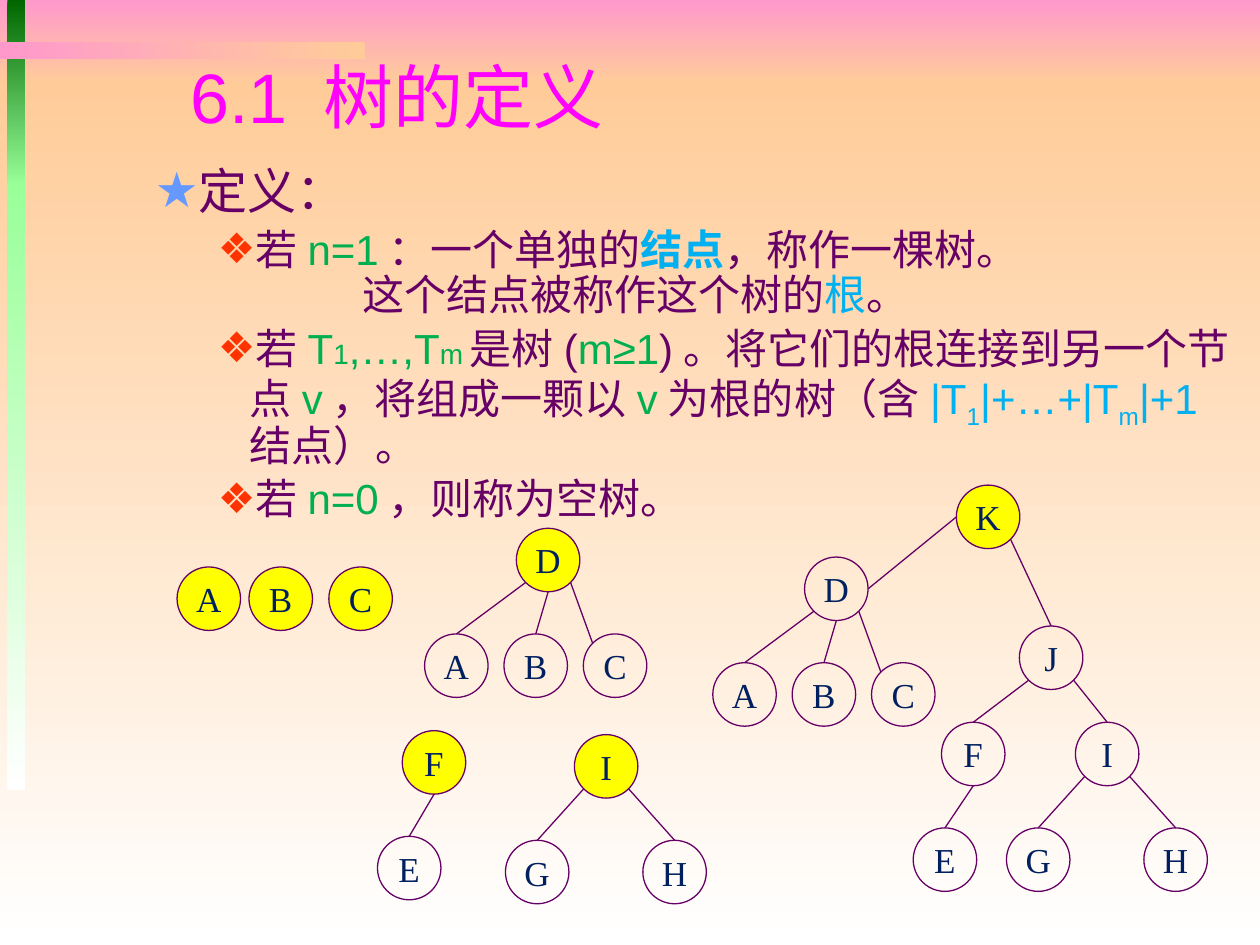
from dataclasses import dataclass, replace
from math import cos, pi, sin

from lxml.etree import SubElement
from pptx import Presentation
from pptx.dml.color import RGBColor
from pptx.enum.shapes import MSO_CONNECTOR, MSO_SHAPE
from pptx.enum.text import MSO_ANCHOR, MSO_AUTO_SIZE, PP_ALIGN
from pptx.oxml.ns import qn
from pptx.util import Cm, Pt


@dataclass(frozen=True)
class Theme:
    text: str = "660066"
    term: str = "00B050"
    key: str = "00B0F0"
    title: str = "FF00FF"
    star: str = "6699FF"
    diamond: str = "FF3300"
    pink: str = "FF99CC"
    peach: str = "FFCC99"
    white: str = "FFFFFF"
    forest: str = "006600"
    mint: str = "99FF99"
    root: str = "FFFF00"
    label: str = "002060"
    sans: str = "Arial"
    serif: str = "Times New Roman"
    title_size: int = 40
    head_size: int = 28
    body_size: int = 24
    small_size: int = 16
    label_size: int = 20
    line: float = 0.75
    spacing: float = 0.9


@dataclass(frozen=True)
class Band:
    x: float
    y: float
    w: float
    h: float
    start: str
    end: str
    angle: int = 270


@dataclass(frozen=True)
class Span:
    text: str
    color: str
    size: int
    bold: bool = False
    sub: bool = False


@dataclass(frozen=True)
class Para:
    spans: tuple[Span, ...]
    level: int = 1
    left: float = 3.18
    hang: float = 0.64
    bullet: str = "❖"


@dataclass(frozen=True)
class Node:
    label: str
    dx: float = 0
    dy: float = 2.13
    exit: int = 90
    entry: int = 270
    children: tuple["Node", ...] = ()


T = Theme()
DIAMETER = 1.28
BULLET_COLORS = (T.star, T.diamond)

BANDS = (
    Band(0, 0, 25.4, 1.7, T.pink, T.peach),
    Band(0, 1.7, 25.4, 17.35, T.peach, T.white),
    Band(0.15, 0, 0.36, 3.75, T.forest, T.mint),
    Band(0.15, 3.71, 0.36, 12.22, T.mint, T.white),
    Band(0, 0.85, 7.35, 0.35, T.pink, T.peach, 0),
)


def plain(text: str) -> Span:
    return Span(text, T.text, T.body_size)


def term(text: str, size: int = T.body_size) -> Span:
    return Span(text, T.term, size)


def key(text: str, bold: bool = False, sub: bool = False) -> Span:
    return Span(text, T.key, T.body_size, bold, sub)


PARAS = (
    Para((Span("定义：", T.text, T.head_size),), 0, 2.06, 0.79, "★"),
    Para((plain("若"), term("n=1"), plain("：一个单独的"), key("结点", bold=True),
          plain("，称作一棵树。"))),
    Para((plain("这个结点被称作这个树的"), key("根"), plain("。")),
         left=5.46, hang=0, bullet=""),
    Para((plain("若"), term("T"), term("1", T.small_size), term(",…,T"),
          term("m", T.small_size), plain("是树("), term("m≥1"),
          plain(")。将它们的根连接到另一个节点"), term("v"),
          plain("，将组成一颗以"), term("v"), plain("为根的树（含"),
          key("|T"), key("1", sub=True), key("|+…+|T"), key("m", sub=True),
          key("|+1"), plain("结点）。"))),
    Para((plain("若"), term("n=0"), plain("，则称为空树。"))),
)

TREE_D = Node("D", children=(
    Node("A", -1.85, exit=135),
    Node("B", -0.25),
    Node("C", 1.35, exit=45, entry=225),
))
TREE_F = Node("F", children=(Node("E", -0.5),))
TREE_I = Node("I", children=(Node("G", -1.39, exit=135), Node("H", 1.38, exit=45)))
TREE_J = Node("J", 1.27, 2.84, exit=45, children=(
    replace(TREE_F, dx=-1.57, dy=1.94, exit=135, children=(Node("E", -0.57),)),
    replace(TREE_I, dx=1.13, dy=1.94, exit=45),
))
TREE_K = Node("K", children=(
    replace(TREE_D, dx=-3.06, dy=1.45, exit=180, entry=0), TREE_J))

FOREST = (
    (Node("A"), 3.57, 11.43),
    (Node("B"), 5.02, 11.43),
    (Node("C"), 6.63, 11.43),
    (TREE_D, 10.41, 10.65),
    (TREE_F, 8.11, 14.73),
    (TREE_I, 11.58, 14.81),
    (TREE_K, 19.28, 9.78),
)


def rgb(color: str) -> RGBColor:
    return RGBColor.from_string(color)


def draw_band(s, b: Band) -> None:
    sp = s.shapes.add_shape(MSO_SHAPE.RECTANGLE, Cm(b.x), Cm(b.y), Cm(b.w), Cm(b.h))
    sp.shadow.inherit = False
    sp.line.fill.background()
    sp.fill.gradient()
    sp.fill.gradient_angle = b.angle
    for stop, color in zip(sp.fill.gradient_stops, (b.start, b.end)):
        stop.color.rgb = rgb(color)


def place(sp, x: float, y: float, w: float, h: float) -> None:
    sp.left, sp.top, sp.width, sp.height = Cm(x), Cm(y), Cm(w), Cm(h)
    sp.text_frame.auto_size = MSO_AUTO_SIZE.NONE


def style(r, name: str, size: int, color: str) -> None:
    r.font.name, r.font.size = name, Pt(size)
    r.font.color.rgb = rgb(color)


def write_para(p, para: Para) -> None:
    p.level, p.line_spacing = para.level, T.spacing
    pPr = p._p.get_or_add_pPr()
    pPr.set("marL", str(Cm(para.left)))
    pPr.set("indent", str(-Cm(para.hang)))
    if para.bullet:
        clr = SubElement(pPr, qn("a:buClr"))
        SubElement(clr, qn("a:srgbClr")).set("val", BULLET_COLORS[para.level])
        SubElement(pPr, qn("a:buChar")).set("char", para.bullet)
    else:
        p.space_before = Pt(0)
        SubElement(pPr, qn("a:buNone"))
    for span in para.spans:
        r = p.add_run()
        r.text = span.text
        style(r, T.sans, span.size, span.color)
        r.font.bold = span.bold
        if span.sub:
            r._r.get_or_add_rPr().set("baseline", "-25000")


def rim(x: float, y: float, angle: int) -> tuple[Cm, Cm]:
    radius, a = DIAMETER / 2, angle * pi / 180
    return Cm(x + radius * (1 + cos(a))), Cm(y + radius * (1 + sin(a)))


def draw_edge(s, start: tuple[Cm, Cm], end: tuple[Cm, Cm]) -> None:
    c = s.shapes.add_connector(MSO_CONNECTOR.STRAIGHT, *start, *end)
    c.line.color.rgb, c.line.width = rgb(T.text), Pt(T.line)
    SubElement(c._element.spPr, qn("a:effectLst"))


def draw_tree(s, node: Node, x: float, y: float, root: bool = True) -> None:
    sp = s.shapes.add_shape(MSO_SHAPE.OVAL, Cm(x), Cm(y), Cm(DIAMETER), Cm(DIAMETER))
    sp.shadow.inherit = False
    sp.line.color.rgb, sp.line.width = rgb(T.text), Pt(T.line)
    if root:
        sp.fill.solid()
        sp.fill.fore_color.rgb = rgb(T.root)
    else:
        sp.fill.background()
    tf = sp.text_frame
    tf.text, tf.word_wrap, tf.vertical_anchor = node.label, False, MSO_ANCHOR.MIDDLE
    p = tf.paragraphs[0]
    p.alignment = PP_ALIGN.CENTER
    style(p.runs[0], T.serif, T.label_size, T.label)
    for child in node.children:
        cx, cy = x + child.dx, y + child.dy
        draw_edge(s, rim(cx, cy, child.entry), rim(x, y, child.exit))
        draw_tree(s, child, cx, cy, root=False)


def main() -> None:
    prs = Presentation()
    prs.slide_width, prs.slide_height = Cm(25.4), Cm(19.05)
    s = prs.slides.add_slide(prs.slide_layouts[1])
    title, body = s.shapes.title, s.placeholders[1]
    for band in BANDS:
        draw_band(s, band)
    for sp in (body, title):
        s.shapes.element.append(sp.element)

    place(title, 3.58, 1.14, 12.7, 1.8)
    title.text_frame.text = "6.1 树的定义"
    p = title.text_frame.paragraphs[0]
    p.alignment, p.line_spacing = PP_ALIGN.LEFT, T.spacing
    style(p.runs[0], T.sans, T.title_size, T.title)

    place(body, 1.6, 3.25, 23.62, 7.06)
    tf = body.text_frame
    for i, para in enumerate(PARAS):
        write_para(tf.paragraphs[0] if i == 0 else tf.add_paragraph(), para)

    for tree, x, y in FOREST:
        draw_tree(s, tree, x, y)
    prs.save("out.pptx")


if __name__ == "__main__":
    main()
